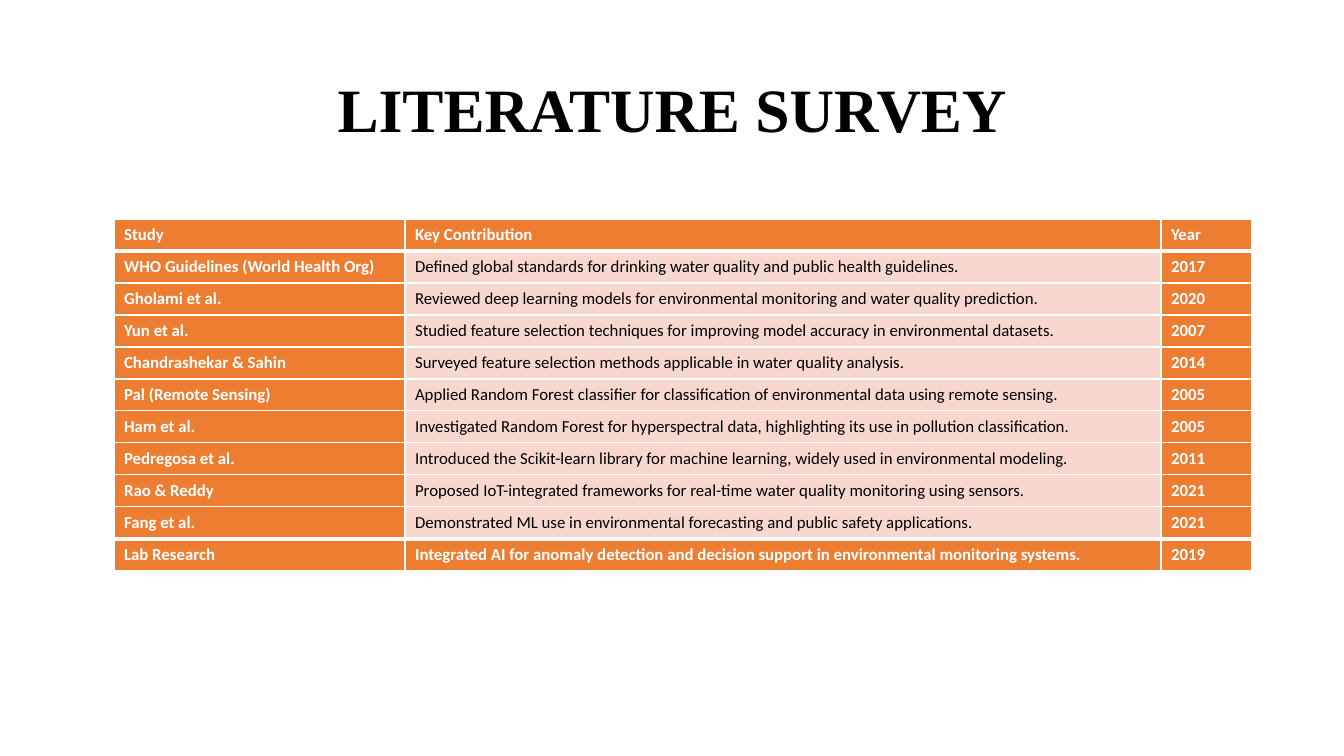
from dataclasses import dataclass

from lxml.etree import SubElement
from pptx import Presentation
from pptx.dml.color import RGBColor
from pptx.enum.text import MSO_ANCHOR, PP_ALIGN
from pptx.oxml.ns import qn
from pptx.slide import Slide
from pptx.table import _Cell
from pptx.util import Emu, Pt

EMU_PER_PX = 914400 / 100.8

WHITE = RGBColor(0xFF, 0xFF, 0xFF)
BLACK = RGBColor(0x00, 0x00, 0x00)
ORANGE = RGBColor(0xED, 0x7D, 0x31)
PEACH = RGBColor(0xF8, 0xD7, 0xCE)

COLUMN_WIDTHS = (291, 756, 91)
ROW_HEIGHT = 32
THIN, THICK = Pt(1), Pt(3)


@dataclass(frozen=True)
class Study:
    name: str
    contribution: str
    year: str


HEADER = Study("Study", "Key Contribution", "Year")
STUDIES = [
    Study("WHO Guidelines (World Health Org)",
          "Defined global standards for drinking water quality and public health guidelines.", "2017"),
    Study("Gholami et al.",
          "Reviewed deep learning models for environmental monitoring and water quality prediction.", "2020"),
    Study("Yun et al.",
          "Studied feature selection techniques for improving model accuracy in environmental datasets.", "2007"),
    Study("Chandrashekar & Sahin",
          "Surveyed feature selection methods applicable in water quality analysis.", "2014"),
    Study("Pal (Remote Sensing)",
          "Applied Random Forest classifier for classification of environmental data using remote sensing.", "2005"),
    Study("Ham et al.",
          "Investigated Random Forest for hyperspectral data, highlighting its use in pollution classification.",
          "2005"),
    Study("Pedregosa et al.",
          "Introduced the Scikit-learn library for machine learning, widely used in environmental modeling.", "2011"),
    Study("Rao & Reddy",
          "Proposed IoT-integrated frameworks for real-time water quality monitoring using sensors.", "2021"),
    Study("Fang et al.",
          "Demonstrated ML use in environmental forecasting and public safety applications.", "2021"),
    Study("Lab Research",
          "Integrated AI for anomaly detection and decision support in environmental monitoring systems.", "2019"),
]


def px(length: int) -> Emu:
    return Emu(round(length * EMU_PER_PX))


def add_heading(slide: Slide, text: str) -> None:
    heading = slide.shapes.add_textbox(px(93), px(40), px(1159), px(146)).text_frame
    heading.word_wrap = True
    heading.vertical_anchor = MSO_ANCHOR.MIDDLE
    line = heading.paragraphs[0]
    line.text = text
    line.alignment = PP_ALIGN.CENTER
    line.line_spacing = 0.9
    line.font.name = "Times New Roman"
    line.font.size = Pt(44)
    line.font.bold = True
    line.font.color.rgb = BLACK


def set_borders(cell: _Cell, top: Emu, bottom: Emu) -> None:
    properties = cell._tc.get_or_add_tcPr()
    for side, width in (("L", THIN), ("R", THIN), ("T", top), ("B", bottom)):
        border = SubElement(properties, qn(f"a:ln{side}"), w=str(int(width)))
        SubElement(SubElement(border, qn("a:solidFill")), qn("a:srgbClr"), val=str(WHITE))


def fill_cell(cell: _Cell, text: str, emphasized: bool) -> None:
    cell.fill.solid()
    cell.fill.fore_color.rgb = ORANGE if emphasized else PEACH
    cell.vertical_anchor = MSO_ANCHOR.MIDDLE
    entry = cell.text_frame.paragraphs[0]
    entry.text = text
    entry.font.name = "Calibri"
    entry.font.size = Pt(12)
    entry.font.bold = emphasized
    entry.font.color.rgb = WHITE if emphasized else BLACK


def add_survey(slide: Slide, studies: list[Study]) -> None:
    rows = [HEADER, *studies]
    last = len(rows) - 1
    survey = slide.shapes.add_table(
        len(rows), len(COLUMN_WIDTHS), px(114), px(219),
        px(sum(COLUMN_WIDTHS)), px(ROW_HEIGHT * len(rows))).table
    for column, width in zip(survey.columns, COLUMN_WIDTHS):
        column.width = px(width)

    for r, study in enumerate(rows):
        survey.rows[r].height = px(ROW_HEIGHT)
        # Thick rules set off the header and the closing row
        top = THICK if r in (1, last) else THIN
        bottom = THICK if r in (0, last - 1) else THIN
        for c, text in enumerate((study.name, study.contribution, study.year)):
            cell = survey.cell(r, c)
            set_borders(cell, top, bottom)
            fill_cell(cell, text, emphasized=r in (0, last) or c != 1)


def main() -> None:
    presentation = Presentation()
    presentation.slide_width = px(1344)
    presentation.slide_height = px(756)
    slide = presentation.slides.add_slide(presentation.slide_layouts[6])

    # Heading
    add_heading(slide, "LITERATURE SURVEY")

    # Table of studies
    add_survey(slide, STUDIES)

    presentation.save("out.pptx")


if __name__ == "__main__":
    main()
